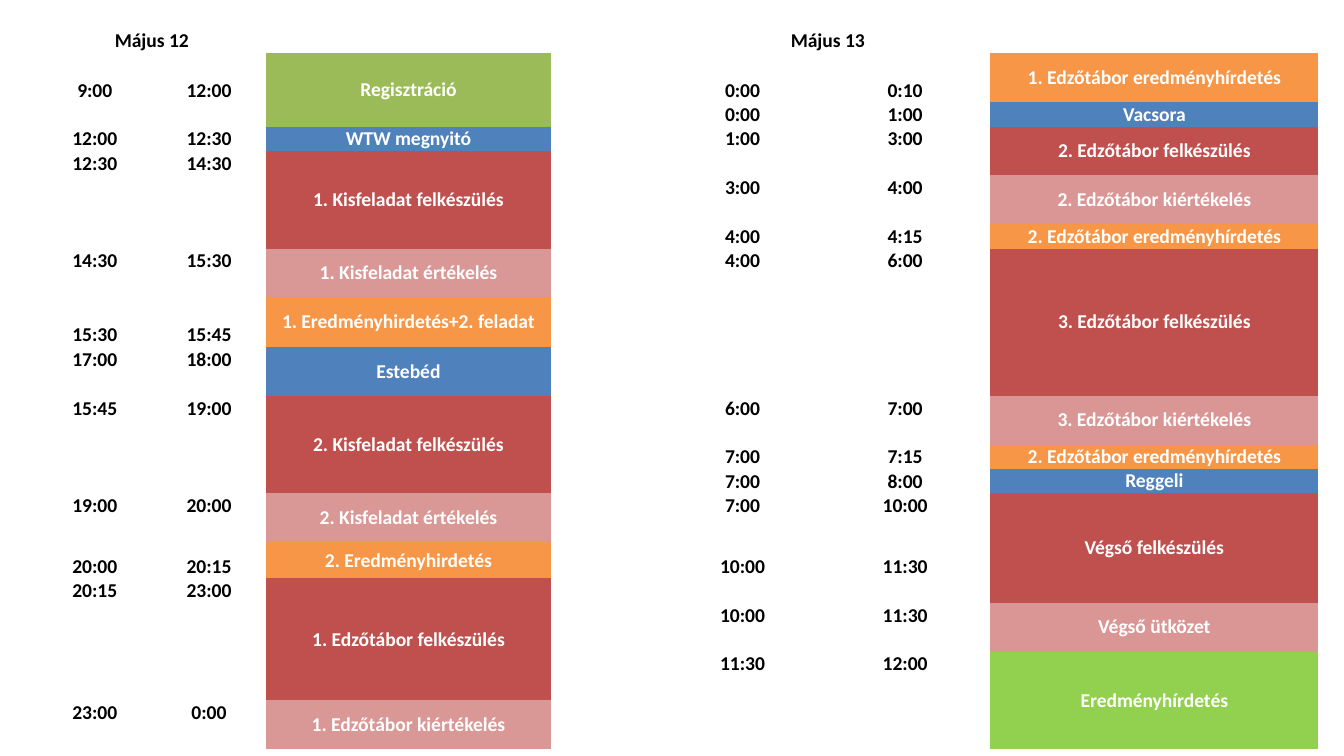
from dataclasses import dataclass
from typing import Optional

from pptx import Presentation
from pptx.dml.color import RGBColor
from pptx.enum.text import MSO_ANCHOR as Anchor, PP_ALIGN as Align
from pptx.oxml.ns import qn
from pptx.slide import Slide
from pptx.table import Table, _Cell as Cell
from pptx.util import Inches, Pt

BLACK = RGBColor(0x00, 0x00, 0x00)
WHITE = RGBColor(0xFF, 0xFF, 0xFF)
OLIVE = RGBColor(0x9B, 0xBB, 0x59)
LIME = RGBColor(0x92, 0xD0, 0x50)
BLUE = RGBColor(0x4F, 0x81, 0xBD)
RED = RGBColor(0xC0, 0x50, 0x4D)
ROSE = RGBColor(0xD9, 0x97, 0x95)
PINK = RGBColor(0xDA, 0x96, 0x94)
ORANGE = RGBColor(0xF7, 0x96, 0x46)

SLIDE_WIDTH = Inches(10)
SLIDE_HEIGHT = SLIDE_WIDTH * 9 // 16
FONT = "Calibri"
FONT_SIZE = Pt(10.5)
NO_STYLE_NO_GRID = "{2D5ABB26-0587-4C30-8999-92F81FD0307C}"
COLUMN_WIDTHS = (0.85, 0.85, 2.12, 0.85, 1.15, 1.27, 2.44)
ROW_COUNT = 27
ROW_HEIGHT = Pt(13.08)
SPECIAL_HEIGHTS = {1: Inches(0.37), 10: Inches(0.37), 19: Inches(0.27)}


@dataclass(frozen=True)
class Event:
    row: int
    start: str
    end: str
    label: str = ""
    color: Optional[RGBColor] = None
    rows: int = 1


@dataclass(frozen=True)
class Day:
    title: str
    column: int
    events: tuple[Event, ...]


DAYS = (
    Day("Május 12", 0, (
        Event(1, "9:00", "12:00", "Regisztráció", OLIVE, 2),
        Event(3, "12:00", "12:30", "WTW megnyitó", BLUE),
        Event(4, "12:30", "14:30", "1. Kisfeladat felkészülés", RED, 4),
        Event(8, "14:30", "15:30", "1. Kisfeladat értékelés", ROSE, 2),
        Event(10, "15:30", "15:45", "1. Eredményhirdetés+2. feladat", ORANGE),
        Event(11, "17:00", "18:00", "Estebéd", BLUE, 2),
        Event(13, "15:45", "19:00", "2. Kisfeladat felkészülés", RED, 4),
        Event(17, "19:00", "20:00", "2. Kisfeladat értékelés", ROSE, 2),
        Event(19, "20:00", "20:15", "2. Eredményhirdetés", ORANGE),
        Event(20, "20:15", "23:00", "1. Edzőtábor felkészülés", RED, 5),
        Event(25, "23:00", "0:00", "1. Edzőtábor kiértékelés", ROSE, 2),
    )),
    Day("Május 13", 4, (
        Event(1, "0:00", "0:10", "1. Edzőtábor eredményhírdetés", ORANGE),
        Event(2, "0:00", "1:00", "Vacsora", BLUE),
        Event(3, "1:00", "3:00", "2. Edzőtábor felkészülés", RED, 2),
        Event(5, "3:00", "4:00", "2. Edzőtábor kiértékelés", PINK, 2),
        Event(7, "4:00", "4:15", "2. Edzőtábor eredményhírdetés", ORANGE),
        Event(8, "4:00", "6:00", "3. Edzőtábor felkészülés", RED, 5),
        Event(13, "6:00", "7:00", "3. Edzőtábor kiértékelés", PINK, 2),
        Event(15, "7:00", "7:15", "2. Edzőtábor eredményhírdetés", ORANGE),
        Event(16, "7:00", "8:00", "Reggeli", BLUE),
        Event(17, "7:00", "10:00", "Végső felkészülés", RED, 4),
        Event(19, "10:00", "11:30"),
        Event(21, "10:00", "11:30", "Végső ütközet", PINK, 2),
        Event(23, "11:30", "12:00", "Eredményhírdetés", LIME, 4),
    )),
)


def clear_cell(cell: Cell) -> None:
    cell.margin_left = cell.margin_right = cell.margin_top = cell.margin_bottom = 0
    cell.fill.background()
    cell.text_frame.paragraphs[0].font.size = FONT_SIZE


def write_cell(cell: Cell, text: str, color: RGBColor, anchor: Anchor) -> None:
    cell.vertical_anchor = anchor
    paragraph = cell.text_frame.paragraphs[0]
    paragraph.alignment = Align.CENTER
    run = paragraph.add_run()
    run.text = text
    run.font.name = FONT
    run.font.size = FONT_SIZE
    run.font.bold = True
    run.font.color.rgb = color


def draw_event(table: Table, event: Event, column: int) -> None:
    for offset, time in enumerate((event.start, event.end)):
        write_cell(table.cell(event.row, column + offset), time, BLACK, Anchor.BOTTOM)
    if event.color is None:
        return
    block = table.cell(event.row, column + 2)
    if event.rows > 1:
        block.merge(table.cell(event.row + event.rows - 1, column + 2))
    block.fill.solid()
    block.fill.fore_color.rgb = event.color
    write_cell(block, event.label, WHITE, Anchor.MIDDLE)


def draw_day(table: Table, day: Day) -> None:
    heading = table.cell(0, day.column)
    heading.merge(table.cell(0, day.column + 1))
    write_cell(heading, day.title, BLACK, Anchor.BOTTOM)
    for event in day.events:
        draw_event(table, event, day.column)


def add_schedule(slide: Slide) -> Table:
    heights = [SPECIAL_HEIGHTS.get(row, ROW_HEIGHT) for row in range(ROW_COUNT)]
    frame = slide.shapes.add_table(
        ROW_COUNT, len(COLUMN_WIDTHS), Inches(0.28), Inches(0.21),
        Inches(sum(COLUMN_WIDTHS)), sum(heights),
    )
    table = frame.table
    table.first_row = False
    table.horz_banding = False
    table._tbl.tblPr.find(qn("a:tableStyleId")).text = NO_STYLE_NO_GRID
    for column, width in zip(table.columns, COLUMN_WIDTHS):
        column.width = Inches(width)
    for row, height in zip(table.rows, heights):
        row.height = height
    for cell in table.iter_cells():
        clear_cell(cell)
    return table


presentation = Presentation()
presentation.slide_width = SLIDE_WIDTH
presentation.slide_height = SLIDE_HEIGHT
slide = presentation.slides.add_slide(presentation.slide_layouts[6])
schedule = add_schedule(slide)
for day in DAYS:
    draw_day(schedule, day)
presentation.save("out.pptx")
